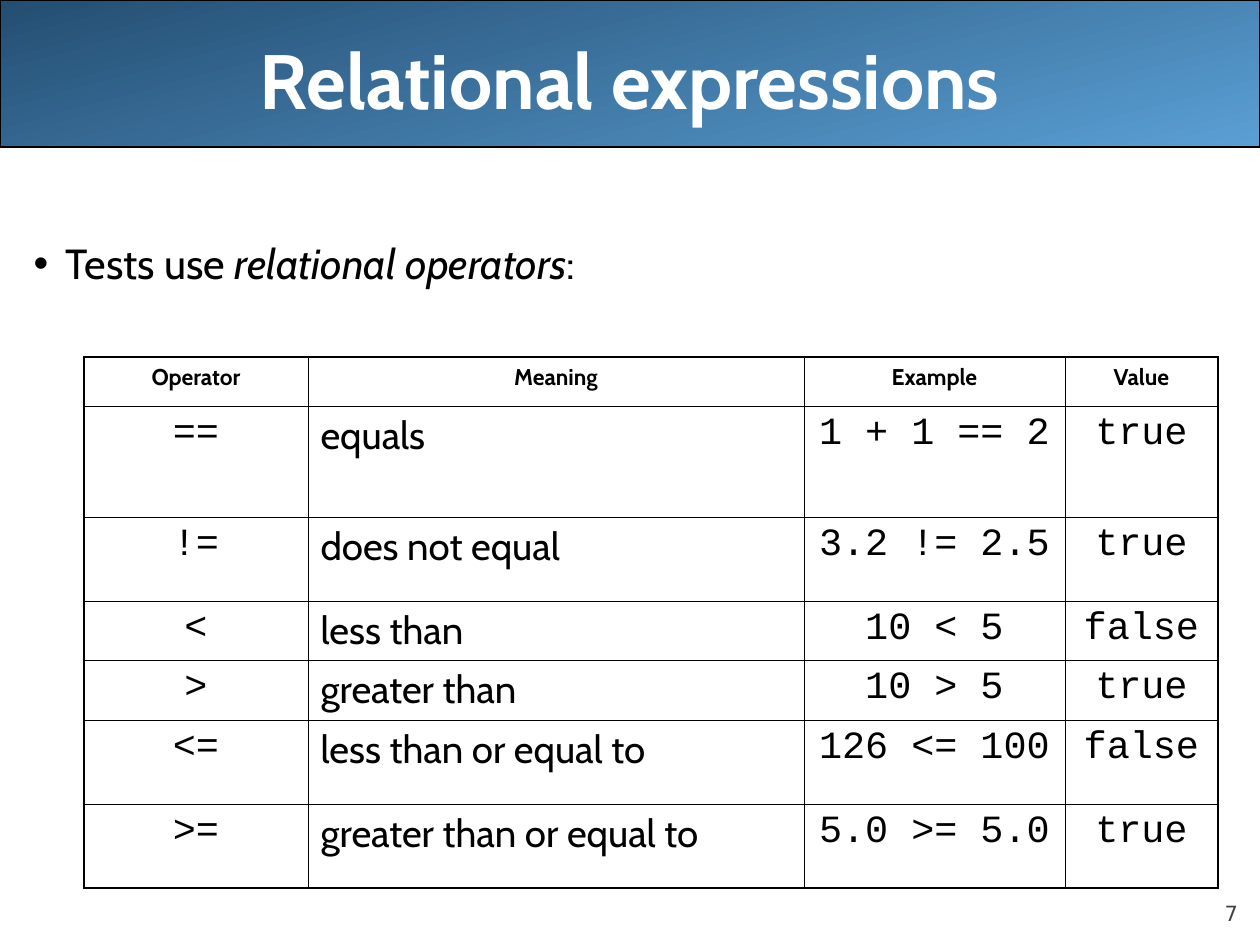
from dataclasses import dataclass

from lxml.etree import SubElement
from pptx import Presentation
from pptx.dml.color import RGBColor
from pptx.enum.shapes import MSO_SHAPE
from pptx.enum.text import MSO_ANCHOR, MSO_AUTO_SIZE, PP_ALIGN
from pptx.oxml.ns import qn
from pptx.util import Pt

PX = 914400 // 126


@dataclass(frozen=True)
class Theme:
    text: str = "000000"
    title: str = "FFFFFF"
    number: str = "424242"
    banner_light: str = "5A9FD4"
    banner_dark: str = "244E72"
    font: str = "Cabin"
    code_font: str = "Courier New"
    number_font: str = "DejaVu Sans"
    title_size: int = 44
    body_size: int = 24
    cell_size: int = 22
    header_size: int = 13
    number_size: int = 12
    outer_line: float = 1.08
    inner_line: float = 0.45


THEME = Theme()
HEADERS = ["Operator", "Meaning", "Example", "Value"]
ROWS = [
    ["==", "equals", "1 + 1 == 2", "true"],
    ["!=", "does not equal", "3.2 != 2.5", "true"],
    ["<", "less than", "10 < 5", "false"],
    [">", "greater than", "10 > 5", "true"],
    ["<=", "less than or equal to", "126 <= 100", "false"],
    [">=", "greater than or equal to", "5.0 >= 5.0", "true"],
]
COL_WIDTHS = [224, 496, 261, 153]
ROW_HEIGHTS = [49, 111, 84, 55, 55, 84, 84]
MEANING = 1


def emu(box):
    return [v * PX for v in box]


def place(sp, box):
    sp.left, sp.top, sp.width, sp.height = emu(box)


def style(p, font, size, color=THEME.text, bold=False):
    for r in p.runs:
        r.font.name = font
        r.font.size = Pt(size)
        r.font.bold = bold
        r.font.color.rgb = RGBColor.from_string(color)


def add_banner(slide, box):
    sp = slide.shapes.add_shape(MSO_SHAPE.RECTANGLE, *emu(box))
    sp.shadow.inherit = False
    sp.fill.gradient()
    sp.fill.gradient_angle = 105
    for stop, color in zip(sp.fill.gradient_stops, (THEME.banner_light, THEME.banner_dark)):
        stop.color.rgb = RGBColor.from_string(color)
    sp.line.color.rgb = RGBColor.from_string(THEME.text)
    sp.line.width = Pt(0.75)
    # Send behind the placeholders
    slide.shapes._spTree.insert(2, sp._element)


def add_title(slide, box):
    sp = slide.shapes.title
    place(sp, box)
    tf = sp.text_frame
    tf.text = "Relational expressions"
    tf.auto_size = MSO_AUTO_SIZE.NONE
    tf.vertical_anchor = MSO_ANCHOR.MIDDLE
    p = tf.paragraphs[0]
    p.alignment = PP_ALIGN.CENTER
    style(p, THEME.font, THEME.title_size, THEME.title, bold=True)


def add_body(slide, box):
    sp = slide.placeholders[1]
    place(sp, box)
    tf = sp.text_frame
    tf.auto_size = MSO_AUTO_SIZE.NONE
    tf.margin_top = 64 * PX
    p = tf.paragraphs[0]
    p.line_spacing = 0.9
    p.space_before = Pt(0)
    pPr = p._p.get_or_add_pPr()
    pPr.set("marL", str(32 * PX))
    pPr.set("indent", str(-32 * PX))
    for text, italic in (("Tests use ", False), ("relational operators", True), (":", False)):
        r = p.add_run()
        r.text = text
        r.font.italic = italic
    style(p, THEME.font, THEME.body_size)


def set_borders(cell, widths):
    """Draw the cell's sides; widths maps L, R, T and B to points."""
    tcPr = cell._tc.get_or_add_tcPr()
    for side, width in widths.items():
        ln = SubElement(tcPr, qn(f"a:ln{side}"), w=str(Pt(width)))
        fill = SubElement(ln, qn("a:solidFill"))
        SubElement(fill, qn("a:srgbClr"), val=THEME.text)


def fill_cell(cell, text, row, col):
    header = row == 0
    cell.text = text
    p = cell.text_frame.paragraphs[0]
    p.alignment = PP_ALIGN.LEFT if col == MEANING and not header else PP_ALIGN.CENTER
    p.space_before = Pt(3.3 if header else 5.5)
    font = THEME.font if header or col == MEANING else THEME.code_font
    style(p, font, THEME.header_size if header else THEME.cell_size, bold=header)
    on_edge = {
        "L": col == 0,
        "R": col == len(HEADERS) - 1,
        "T": header,
        "B": row == len(ROWS),
    }
    set_borders(cell, {side: THEME.outer_line if edge else THEME.inner_line
                       for side, edge in on_edge.items()})
    cell.fill.background()


def add_operator_table(slide, left, top):
    box = (left, top, sum(COL_WIDTHS), sum(ROW_HEIGHTS))
    table = slide.shapes.add_table(len(ROWS) + 1, len(HEADERS), *emu(box)).table
    table.first_row = table.horz_banding = False
    for column, width in zip(table.columns, COL_WIDTHS):
        column.width = width * PX
    for row, height in zip(table.rows, ROW_HEIGHTS):
        row.height = height * PX
    for i, texts in enumerate([HEADERS] + ROWS):
        for j, text in enumerate(texts):
            fill_cell(table.cell(i, j), text, i, j)


def add_slide_number(slide, box):
    tf = slide.shapes.add_textbox(*emu(box)).text_frame
    tf.word_wrap = True
    tf.margin_left = tf.margin_right = tf.margin_top = tf.margin_bottom = 0
    tf.vertical_anchor = MSO_ANCHOR.BOTTOM
    tf.text = "7"
    p = tf.paragraphs[0]
    p.alignment = PP_ALIGN.RIGHT
    style(p, THEME.number_font, THEME.number_size, THEME.number)


def main():
    prs = Presentation()
    prs.slide_width, prs.slide_height = emu((1260, 945))
    slide = prs.slides.add_slide(prs.slide_layouts[1])
    add_banner(slide, (0, 0, 1260, 147))
    add_title(slide, (63, 0, 1134, 158))
    add_body(slide, (21, 179, 1239, 714))
    add_operator_table(slide, 84, 357)
    add_slide_number(slide, (1134, 876, 104, 50))
    prs.save("out.pptx")


if __name__ == "__main__":
    main()
